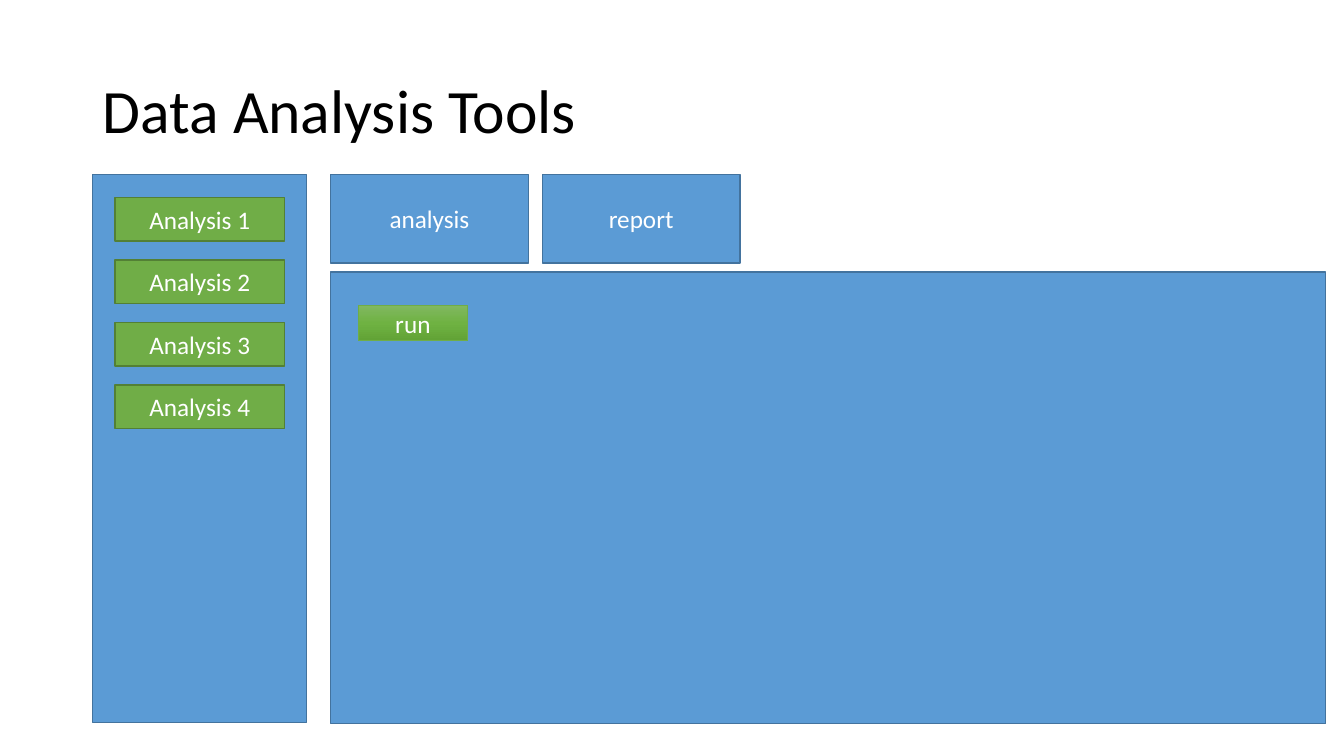
from copy import deepcopy

from pptx import Presentation
from pptx.dml.color import RGBColor
from pptx.enum.shapes import MSO_SHAPE
from pptx.enum.text import MSO_ANCHOR, MSO_AUTO_SIZE, PP_ALIGN
from pptx.oxml.ns import qn
from pptx.util import Inches, Pt

RECTANGLE = MSO_SHAPE.RECTANGLE
MIDDLE = MSO_ANCHOR.MIDDLE
NO_AUTOFIT = MSO_AUTO_SIZE.NONE
LEFT, CENTER = PP_ALIGN.LEFT, PP_ALIGN.CENTER
TITLE_ONLY = 5


def rgb(value):
    return RGBColor.from_string(value)


class ToolSlide:
    font = "Calibri"
    black, white = "000000", "FFFFFF"
    blue, blue_edge = "5B9BD5", "43739E"
    green, green_edge = "70AD47", "538035"

    def __init__(self, deck):
        self.slide = deck.slides.add_slide(deck.slide_layouts[TITLE_ONLY])

    def label(self, frame, text, size, color, align):
        frame.word_wrap = True
        frame.vertical_anchor = MIDDLE
        paragraph = frame.paragraphs[0]
        paragraph.alignment = align
        run = paragraph.add_run()
        run.text = text
        run.font.name = self.font
        run.font.size = Pt(size)
        run.font.color.rgb = rgb(color)
        return paragraph

    def title(self, text, left, top, width, height):
        heading = self.slide.shapes.title
        heading.left, heading.top = Inches(left), Inches(top)
        heading.width, heading.height = Inches(width), Inches(height)
        heading.text_frame.auto_size = NO_AUTOFIT
        self.label(heading.text_frame, text, 44, self.black, LEFT).line_spacing = 0.9

    def box(self, left, top, width, height, fill, edge, text="", edge_width=1):
        box = self.slide.shapes.add_shape(
            RECTANGLE, Inches(left), Inches(top), Inches(width), Inches(height))
        box.shadow.inherit = False
        box.fill.solid()
        box.fill.fore_color.rgb = rgb(fill)
        box.line.color.rgb = rgb(edge)
        box.line.width = Pt(edge_width)
        if text:
            self.label(box.text_frame, text, 18, self.white, CENTER)
        return box

    def panel(self, left, top, width, height, text=""):
        return self.box(left, top, width, height, self.blue, self.blue_edge, text)

    def shade(self, box, colors):
        """Fill a box from top to bottom with three evenly spaced colours."""
        box.fill.gradient()
        box.fill.gradient_angle = 270
        stop_list = box.element.spPr.find(qn("a:gradFill")).find(qn("a:gsLst"))
        stop_list.insert(1, deepcopy(stop_list[0]))
        for index, (stop, color) in enumerate(zip(box.fill.gradient_stops, colors)):
            stop.position = index / 2
            stop.color.rgb = rgb(color)


def main():
    deck = Presentation()
    deck.slide_width, deck.slide_height = Inches(13.33), Inches(7.5)
    tools = ToolSlide(deck)
    tools.title("Data Analysis Tools", 0.92, 0.4, 11.5, 1.45)

    # Sidebar and work area
    tools.panel(0.92, 1.73, 2.12, 5.44)
    tools.panel(3.28, 2.7, 9.87, 4.48)

    # Tabs
    for index, tab in enumerate(["analysis", "report"]):
        tools.panel(3.28 + 2.1 * index, 1.73, 1.96, 0.88, tab)

    # Run button
    run_button = tools.box(3.55, 3.03, 1.09, 0.35, tools.green, tools.green, "run", 0.5)
    tools.shade(run_button, ["81B861", "6FB242", "62A336"])

    # Sidebar buttons
    for index in range(4):
        tools.box(1.14, 1.96 + 0.62 * index, 1.68, 0.43,
                  tools.green, tools.green_edge, f"Analysis {index + 1}")

    deck.save("out.pptx")


if __name__ == "__main__":
    main()
